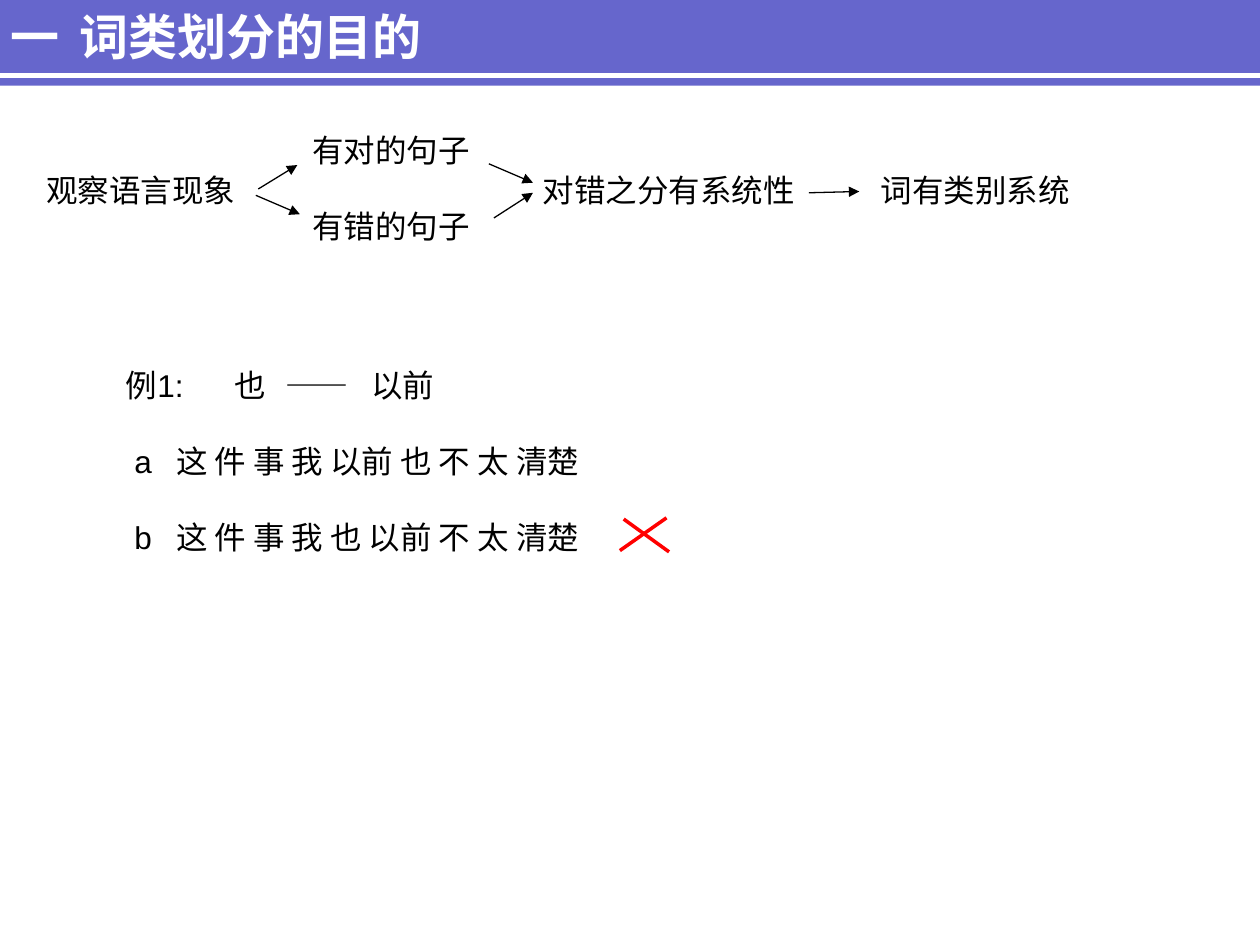
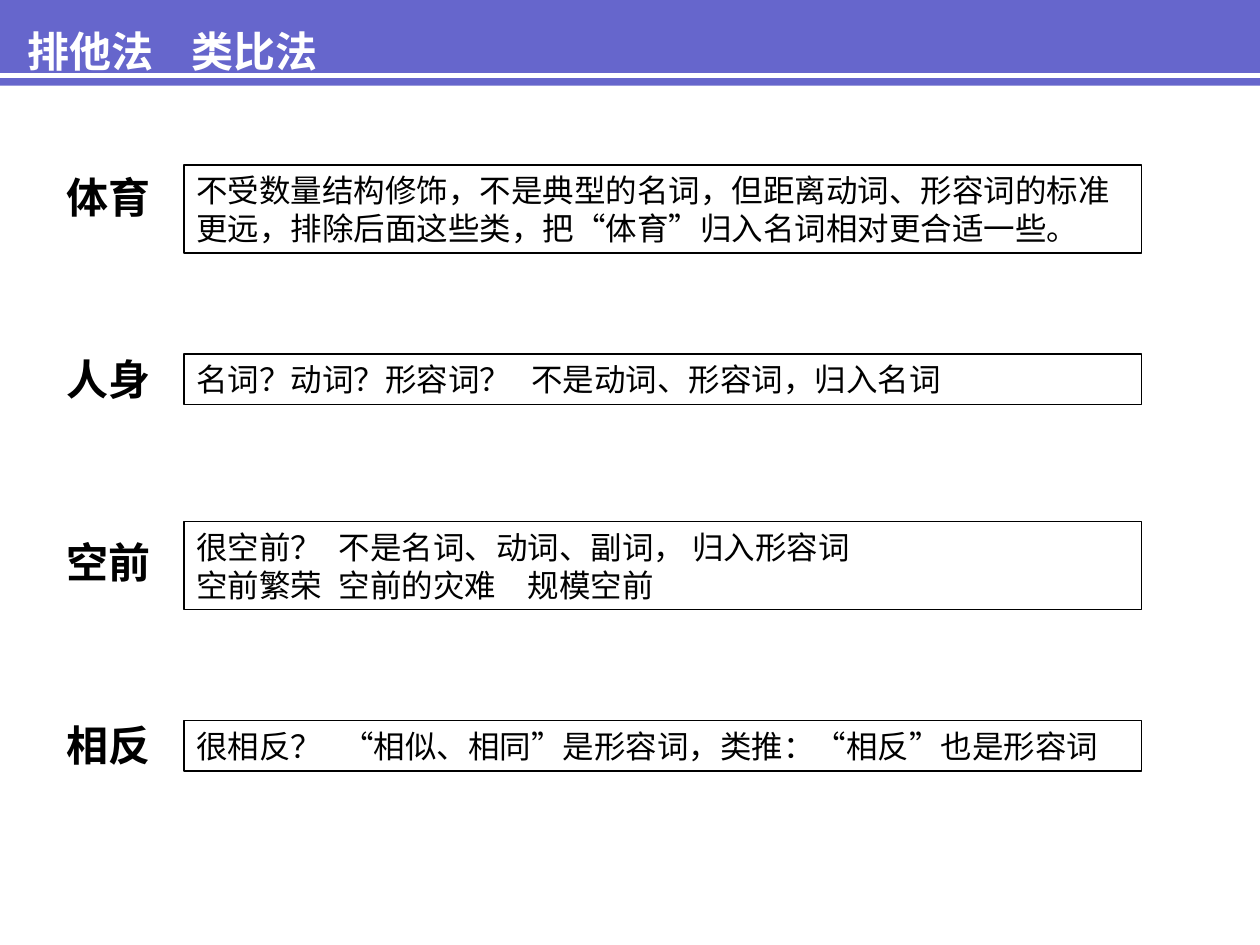
import dataclasses
import typing

import lxml.etree
import pptx
import pptx.dml.color
import pptx.enum.shapes
import pptx.enum.text
import pptx.oxml.ns
import pptx.util

Inches = pptx.util.Inches
Pt = pptx.util.Pt
qn = pptx.oxml.ns.qn

VIOLET = pptx.dml.color.RGBColor(0x66, 0x66, 0xCC)
WHITE = pptx.dml.color.RGBColor(0xFF, 0xFF, 0xFF)
BLACK = pptx.dml.color.RGBColor(0x00, 0x00, 0x00)
RED = pptx.dml.color.RGBColor(0xFF, 0x00, 0x00)

HAN = "Noto Sans CJK SC"
LEADING = 1.2
ROW = 0.3
PAD = 0.1


@dataclasses.dataclass(frozen=True)
class Style:
    font: str
    size: int
    color: pptx.dml.color.RGBColor = BLACK
    bold: bool = False
    gap: float = 0


@dataclasses.dataclass(frozen=True)
class Line:
    start: tuple[float, float]
    end: tuple[float, float]
    color: pptx.dml.color.RGBColor = BLACK
    width: float = 0.75
    arrow: bool = False


@dataclasses.dataclass(frozen=True)
class Para:
    text: str
    tabs: tuple[float, ...] = ()


@dataclasses.dataclass(frozen=True)
class Block:
    left: float
    top: float
    width: float
    height: float
    paras: tuple[Para, ...]
    style: Style


HEAD = Style(HAN, 28, WHITE, True)
SUBHEAD = Style(HAN, 24, WHITE, True)
PLAIN = Style("Arial", 18, gap=21.6)
LABEL = Style(HAN, 24, bold=True, gap=75.6)
NOTE = Style("Times New Roman", 18)

FLOW = (
    Block(0.27, 1.31, 2.05, 0.4, (Para("观察语言现象"),), PLAIN),
    Block(2.38, 0.99, 1.72, 1, (Para("有对的句子"), Para("有错的句子")), PLAIN),
    Block(4.21, 1.31, 2.25, 0.4, (Para("对错之分有系统性"),), PLAIN),
    Block(6.89, 1.31, 2.05, 0.4, (Para("词有类别系统"),), PLAIN),
)
ARROWS = (
    ((2.05, 1.5), (2.36, 1.31)),
    ((2.03, 1.55), (2.38, 1.7)),
    ((3.92, 1.73), (4.23, 1.53)),
    ((3.88, 1.3), (4.23, 1.45)),
    ((6.42, 1.53), (6.82, 1.52)),
)
SAMPLE = Block(0.9, 2.86, 4.6, 1.6, (
    Para("例1:\t也\t——\t以前", (0.86, 1.27, 1.95)),
    Para(" a\t这 件 事 我 以前 也 不 太 清楚", (0.4,)),
    Para(" b\t这 件 事 我 也 以前 不 太 清楚", (0.4,)),
), PLAIN)
CROSS = (
    Line((4.95, 4.12), (5.31, 4.38), RED, 2),
    Line((5.29, 4.11), (4.92, 4.37), RED, 2),
)
WORDS = Block(0.43, 1.31, 1.03, 5.12, tuple(
    Para(word) for word in ("体育", "人身", "空前", "相反")), LABEL)
NOTES = (
    (1.31, 2, Para("不受数量结构修饰，不是典型的名词，但距离动词、形容词的标准更远，"
                   "排除后面这些类，把“体育”归入名词相对更合适一些。")),
    (2.81, 1, Para("名词？动词？形容词？\t不是动词、形容词，归入名词", (2.66,))),
    (4.14, 2, Para("很空前？\t不是名词、动词、副词， 归入形容词\v"
                   "空前繁荣\t空前的灾难\t规模空前", (1.13, 2.63))),
    (5.72, 1, Para("很相反？\t“相似、相同”是形容词，类推：“相反”也是形容词", (1.16,))),
)


def write(shape: typing.Any, paras: tuple[Para, ...], style: Style) -> None:
    frame = shape.text_frame
    frame.text = "\n".join(para.text for para in paras)
    frame.word_wrap = True
    frame.auto_size = pptx.enum.text.MSO_AUTO_SIZE.NONE
    frame.margin_left = frame.margin_right = Inches(0.1)
    frame.margin_top = frame.margin_bottom = Inches(0.05)
    for place, (line, para) in enumerate(zip(frame.paragraphs, paras)):
        line.alignment = pptx.enum.text.PP_ALIGN.LEFT
        line.line_spacing = Pt(style.size * LEADING)
        line.space_before = Pt(style.gap if place else 0)
        if para.tabs:
            props = line._p.get_or_add_pPr()
            stops = lxml.etree.SubElement(props, qn("a:tabLst"))
            for stop in para.tabs:
                lxml.etree.SubElement(stops, qn("a:tab"), pos=str(Inches(stop)), algn="l")
        for run in line.runs:
            font = run.font
            font.size = Pt(style.size)
            font.bold = style.bold
            font.color.rgb = style.color
            font.name = style.font
            lxml.etree.SubElement(run._r.get_or_add_rPr(), qn("a:ea"), typeface=HAN)


def add_text(slide: typing.Any, block: Block) -> None:
    box = slide.shapes.add_textbox(Inches(block.left), Inches(block.top),
                                   Inches(block.width), Inches(block.height))
    write(box, block.paras, block.style)


def add_rect(slide: typing.Any, left: float, top: float, width: float, height: float) -> typing.Any:
    rect = slide.shapes.add_shape(pptx.enum.shapes.MSO_SHAPE.RECTANGLE, Inches(left),
                                  Inches(top), Inches(width), Inches(height))
    rect.shadow.inherit = False
    return rect


def add_line(slide: typing.Any, line: Line) -> typing.Any:
    points = (Inches(value) for value in line.start + line.end)
    stroke = slide.shapes.add_connector(pptx.enum.shapes.MSO_CONNECTOR.STRAIGHT, *points)
    stroke.line.color.rgb = line.color
    stroke.line.width = Pt(line.width)
    if line.arrow:
        lxml.etree.SubElement(stroke.line._get_or_add_ln(), qn("a:tailEnd"), type="triangle")
    lxml.etree.SubElement(stroke.element.spPr, qn("a:effectLst"))
    return stroke


def add_band(slide: typing.Any) -> None:
    band = add_rect(slide, 0, 0, 10, 0.68)
    band.fill.solid()
    band.fill.fore_color.rgb = VIOLET
    band.line.fill.background()
    stripe = add_line(slide, Line((0, 0.6), (10, 0.6), WHITE, 3))
    for part in (band, stripe):
        slide.slide_layout.shapes.element.append(part.element)


def set_title(slide: typing.Any, block: Block) -> None:
    title = slide.shapes.title
    title.left, title.top = Inches(block.left), Inches(block.top)
    title.width, title.height = Inches(block.width), Inches(block.height)
    write(title, block.paras, block.style)
    title.text_frame.vertical_anchor = pptx.enum.text.MSO_ANCHOR.MIDDLE


def draw_aim(slide: typing.Any) -> None:
    set_title(slide, Block(-0.02, -0.13, 7.62, 0.83,
                           (Para("一\t词类划分的目的", (0.55,)),), HEAD))
    for block in FLOW + (SAMPLE,):
        add_text(slide, block)
    for start, end in ARROWS:
        add_line(slide, Line(start, end, arrow=True))
    for line in CROSS:
        add_line(slide, line)


def draw_tests(slide: typing.Any) -> None:
    set_title(slide, Block(0.12, 0, 7.39, 0.8,
                           (Para("排他法\t类比法", (1.3,)),), SUBHEAD))
    add_text(slide, WORDS)
    for top, rows, para in NOTES:
        rect = add_rect(slide, 1.46, top, 7.6, PAD + ROW * rows)
        rect.fill.background()
        rect.line.color.rgb = BLACK
        rect.line.width = Pt(0.75)
        write(rect, (para,), NOTE)
        rect.text_frame.vertical_anchor = pptx.enum.text.MSO_ANCHOR.TOP


def main() -> None:
    deck = pptx.Presentation()
    deck.slide_width, deck.slide_height = Inches(10), Inches(7.5)
    layout = deck.slide_layouts[5]
    aim, tests = (deck.slides.add_slide(layout) for _ in range(2))
    add_band(aim)
    draw_aim(aim)
    draw_tests(tests)
    deck.save("out.pptx")


if __name__ == "__main__":
    main()
